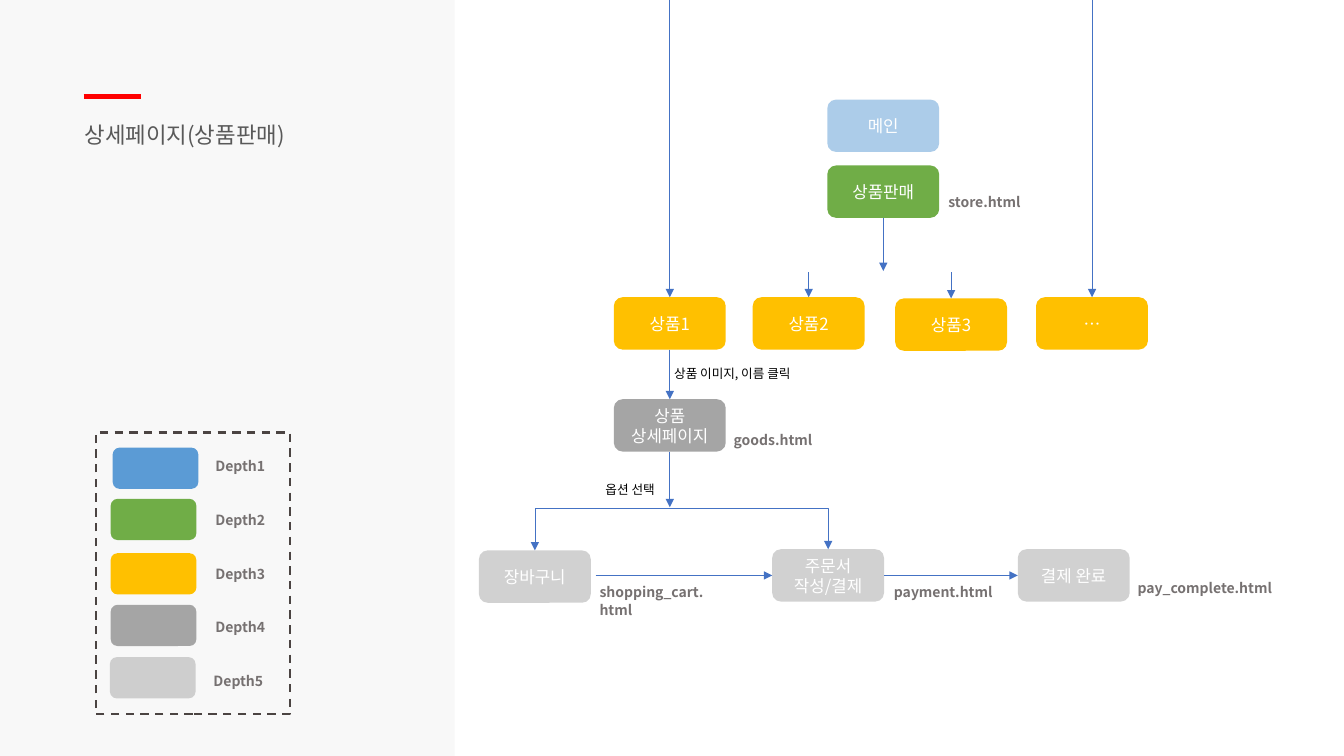
"""Builds the page-flow slide for the product sales detail page."""
from lxml.etree import SubElement
from pptx import Presentation
from pptx.dml.color import RGBColor
from pptx.enum.dml import MSO_LINE
from pptx.enum.shapes import MSO_CONNECTOR, MSO_SHAPE
from pptx.enum.text import MSO_ANCHOR, MSO_AUTO_SIZE, PP_ALIGN
from pptx.oxml.ns import qn
from pptx.util import Cm, Pt

FONT = "Noto Sans CJK KR"
BLUE, GREEN, YELLOW, GRAY = "5B9BD5", "70AD47", "FFC000", "A5A5A5"
LINE = "4472C4"
BOX_W, BOX_H = 2.82, 1.32
TOP, BOTTOM, LEFT, RIGHT = 0, 2, 1, 3


def rgb(value):
    return RGBColor.from_string(value)


def write(tf, text, size=10, color="767171", bold=False, align=PP_ALIGN.LEFT, spacing=None):
    p = tf.paragraphs[0]
    p.alignment = align
    if spacing:
        p.line_spacing = Pt(spacing)
    r = p.add_run()
    r.text = text
    r.font.size, r.font.bold, r.font.name = Pt(size), bold, FONT
    r.font.color.rgb = rgb(color)
    SubElement(r.font._element, qn("a:ea")).set("typeface", FONT)


def add_rect(s, x, y, w, h, fill=None, alpha=None, kind=MSO_SHAPE.ROUNDED_RECTANGLE):
    sp = s.shapes.add_shape(kind, Cm(x), Cm(y), Cm(w), Cm(h))
    sp.shadow.inherit = False
    sp.line.fill.background()
    if fill:
        sp.fill.solid()
        sp.fill.fore_color.rgb = rgb(fill)
    else:
        sp.fill.background()
    if alpha:
        clr = sp._element.spPr.find(qn("a:solidFill"))[0]
        SubElement(clr, qn("a:alpha")).set("val", str(alpha * 1000))
    return sp


def add_box(s, text, x, y, fill, alpha=None):
    sp = add_rect(s, x, y, BOX_W, BOX_H, fill, alpha)
    sp.text_frame.vertical_anchor = MSO_ANCHOR.MIDDLE
    write(sp.text_frame, text, size=12, color="FFFFFF", align=PP_ALIGN.CENTER)
    return sp


def add_text(s, text, x, y, w, h=0.69, wrap=True, **fmt):
    tf = s.shapes.add_textbox(Cm(x), Cm(y), Cm(w), Cm(h)).text_frame
    tf.word_wrap = wrap
    tf.auto_size = MSO_AUTO_SIZE.SHAPE_TO_FIT_TEXT
    write(tf, text, **fmt)


def add_label(s, text, x, y, w=3.2, h=0.69):
    add_text(s, text, x, y, w, h, bold=True, spacing=13)


def add_note(s, text, x, y, w):
    add_text(s, text, x, y, w, 0.64, wrap=False, size=9, color="000000")


def add_line(s, start, end, color=LINE, width=0.5, arrow=True):
    """Draw a line; each end is a point (x, y) in cm or a pair (shape, side)."""
    ends = [(0, 0) if hasattr(e[0], "shape_type") else e for e in (start, end)]
    (x1, y1), (x2, y2) = ends
    c = s.shapes.add_connector(MSO_CONNECTOR.STRAIGHT, Cm(x1), Cm(y1), Cm(x2), Cm(y2))
    if ends[0] is not start:
        c.begin_connect(*start)
    if ends[1] is not end:
        c.end_connect(*end)
    c.line.color.rgb = rgb(color)
    c.line.width = Pt(width)
    if arrow:
        SubElement(c.line._get_or_add_ln(), qn("a:tailEnd")).set("type", "triangle")
    SubElement(c._element.spPr, qn("a:effectLst"))


def add_bracket(s, left, right, top, bottom):
    fb = s.shapes.build_freeform(Cm(left), Cm(bottom))
    fb.add_line_segments([(Cm(left), Cm(top)), (Cm(right), Cm(top)), (Cm(right), Cm(bottom))],
                         close=False)
    sp = fb.convert_to_shape()
    sp.shadow.inherit = False
    sp.fill.background()
    sp.line.color.rgb = rgb(LINE)
    sp.line.width = Pt(0.5)


def add_heading(s, text):
    panel = add_rect(s, 0, 0, 11.46, 19.05, "F2F2F2", 50, MSO_SHAPE.RECTANGLE)
    title = s.shapes.title
    title._element.addprevious(panel._element)
    title.left, title.top, title.width, title.height = Cm(1.88), Cm(2.82), Cm(6.17), Cm(0.97)
    tf = title.text_frame
    tf.word_wrap = True
    tf.auto_size = MSO_AUTO_SIZE.SHAPE_TO_FIT_TEXT
    tf.vertical_anchor = MSO_ANCHOR.TOP
    write(tf, text, size=16, color="595959", spacing=22)
    add_line(s, (2.11, 2.44), (3.56, 2.44), "FF0000", 3.5, arrow=False)


def add_legend(s):
    frame = add_rect(s, 2.41, 10.9, 4.9, 7.09, kind=MSO_SHAPE.RECTANGLE)
    frame.line.color.rgb = rgb("4B4442")
    frame.line.width = Pt(1.5)
    frame.line.dash_style = MSO_LINE.DASH
    rows = [(2.84, 11.28, 5.18, 11.38, BLUE, None), (2.79, 12.57, 5.18, 12.73, GREEN, None),
            (2.79, 13.94, 5.18, 14.1, YELLOW, None), (2.79, 15.24, 5.18, 15.42, GRAY, None),
            (2.77, 16.56, 5.13, 16.79, GRAY, 50)]
    for depth, (x, y, label_x, label_y, fill, alpha) in enumerate(rows, 1):
        add_rect(s, x, y, 2.16, 1.04, fill, alpha)
        add_label(s, f"Depth{depth}", label_x, label_y)


def add_flow(s):
    add_box(s, "메인", 20.85, 2.51, BLUE, 50)
    store = add_box(s, "상품판매", 20.85, 4.17, GREEN)
    item1 = add_box(s, "상품1", 15.47, 7.49, YELLOW)
    item2 = add_box(s, "상품2", 18.97, 7.49, YELLOW)
    item3 = add_box(s, "상품3", 22.56, 7.52, YELLOW)
    more = add_box(s, "…", 26.11, 7.49, YELLOW)
    detail = add_box(s, "상품 상세페이지", 15.47, 10.06, GRAY)
    cart = add_box(s, "장바구니", 12.07, 13.87, GRAY, 50)
    order = add_box(s, "주문서 작성/결제", 19.46, 13.84, GRAY, 50)
    done = add_box(s, "결제 완료", 25.65, 13.84, GRAY, 50)

    add_bracket(s, 13.48, 20.87, 12.82, 13.46)
    for start, end in [
        ((store, BOTTOM), (22.26, 6.83)),
        ((16.88, 0), (item1, TOP)),
        ((20.38, 6.86), (item2, TOP)),
        ((23.97, 6.86), (item3, TOP)),
        ((27.52, 0), (more, TOP)),
        ((item1, BOTTOM), (detail, TOP)),
        ((detail, BOTTOM), (16.88, 12.78)),
        ((13.48, 13), (cart, TOP)),
        ((20.87, 13.28), (order, TOP)),
        ((15.01, 14.5), (order, LEFT)),
        ((order, RIGHT), (done, LEFT)),
    ]:
        add_line(s, start, end)

    add_note(s, "상품 이미지, 이름 클릭", 16.74, 9.09, 3.81)
    add_note(s, "옵션 선택", 15.01, 12.01, 2.01)
    add_label(s, "store.html", 23.65, 4.72)
    add_label(s, "goods.html", 18.24, 10.72)
    add_label(s, "shopping_cart.html", 14.86, 14.55, h=1.14)
    add_label(s, "payment.html", 22.28, 14.55)
    add_label(s, "pay_complete.html", 28.42, 14.45, w=3.91)


def main():
    prs = Presentation()
    prs.slide_width, prs.slide_height = Cm(33.87), Cm(19.05)
    s = prs.slides.add_slide(prs.slide_layouts[5])
    add_heading(s, "상세페이지(상품판매)")
    add_flow(s)
    add_legend(s)
    prs.save("out.pptx")


if __name__ == "__main__":
    main()
